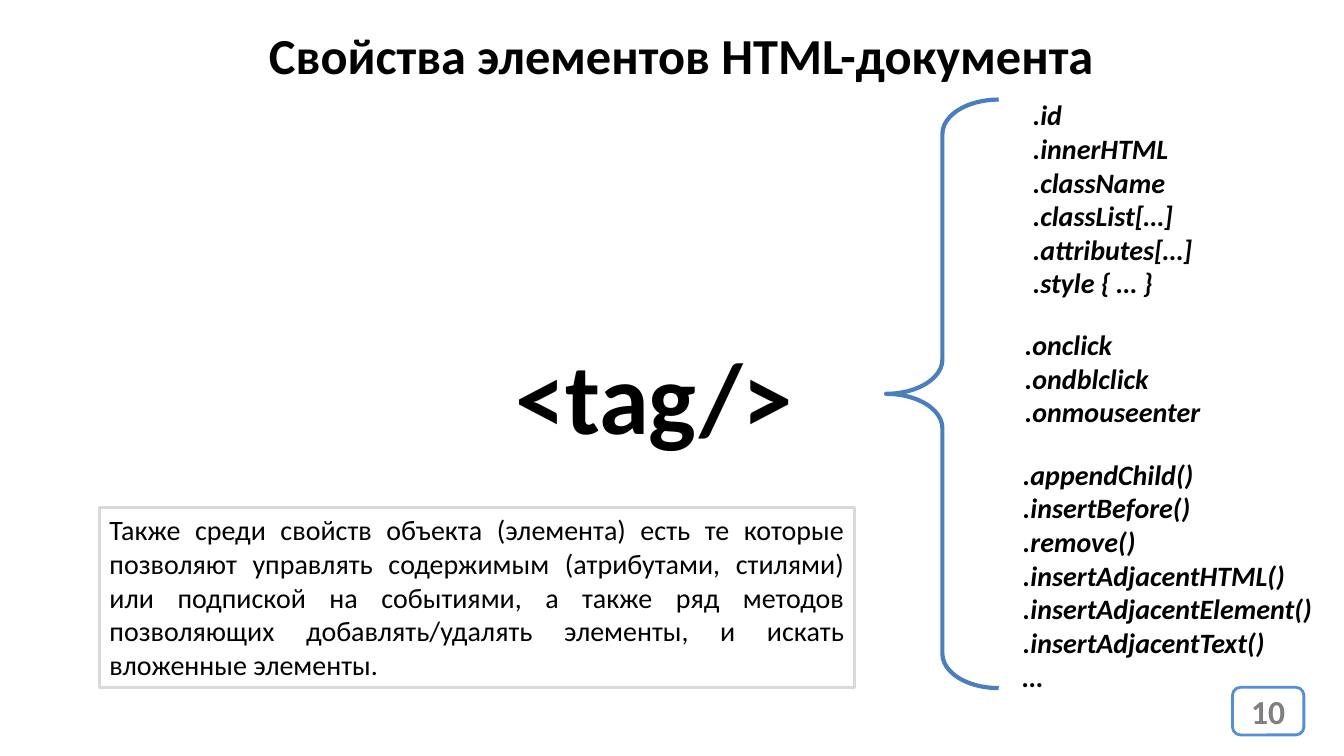
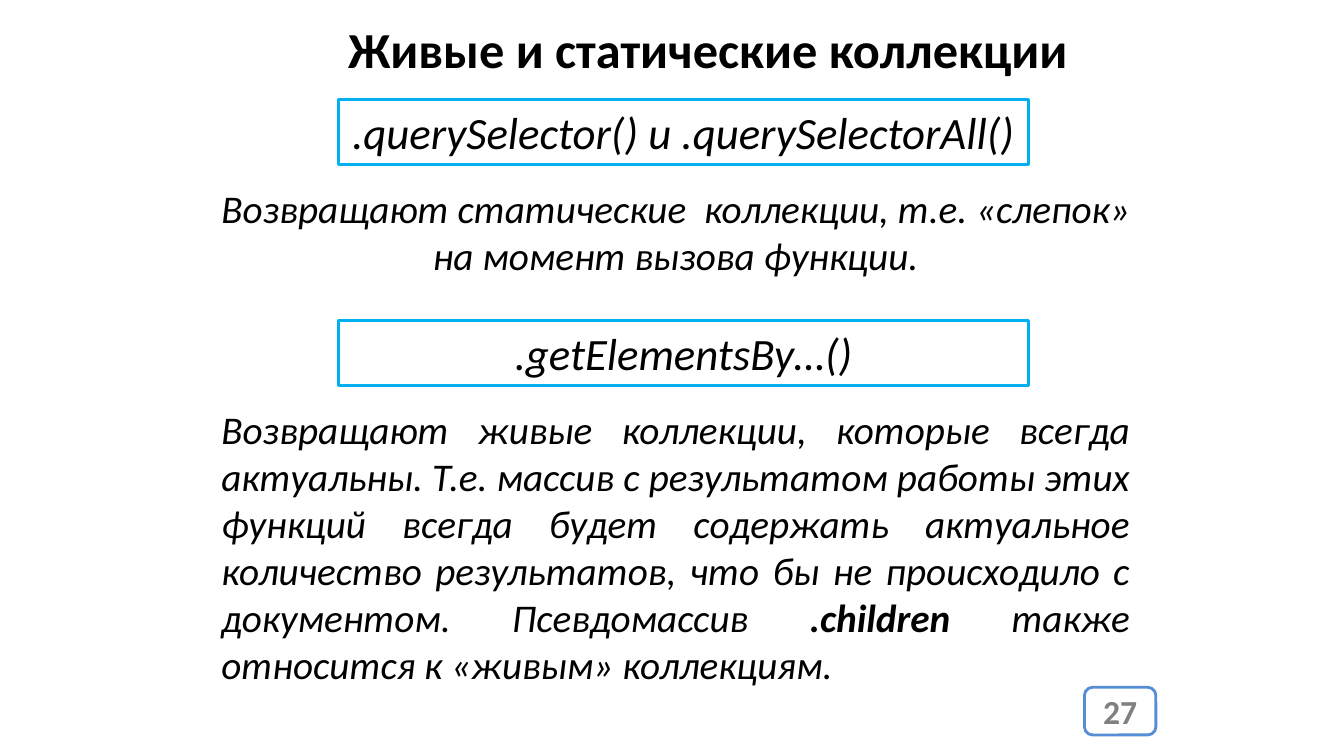
from dataclasses import dataclass
from typing import Any, Optional

from pptx import Presentation
from pptx.dml.color import RGBColor
from pptx.enum import shapes, text
from pptx.util import Cm, Pt

# Shared look
BLACK = RGBColor(0x00, 0x00, 0x00)
WHITE = RGBColor(0xFF, 0xFF, 0xFF)
GRAY = RGBColor(0x80, 0x80, 0x80)
PALE = RGBColor(0xD9, 0xD9, 0xD9)
BLUE = RGBColor(0x55, 0x8E, 0xD5)
STEEL = RGBColor(0x4B, 0x7E, 0xBC)
CYAN = RGBColor(0x00, 0xB0, 0xF0)

FONT = "Calibri"
KIND = shapes.MSO_SHAPE
ALIGN = text.PP_ALIGN
LEFT, MID, JUST = ALIGN.LEFT, ALIGN.CENTER, ALIGN.JUSTIFY

TITLE = {"size": Pt(36), "bold": True}
TAG = {"size": Pt(72), "bold": True}
NOTE = {"size": Pt(20)}
ITEM = {"size": Pt(20), "bold": True, "italic": True}
CALL = {"size": Pt(32), "italic": True}
BODY = {"size": Pt(28), "italic": True}
PAGE = {"size": Pt(24), "bold": True}


@dataclass(frozen=True)
class Box:
    """Place and size in centimetres."""
    x: float
    y: float
    w: float
    h: float

    def cm(self) -> tuple:
        return Cm(self.x), Cm(self.y), Cm(self.w), Cm(self.h)


@dataclass(frozen=True)
class Edge:
    color: RGBColor
    width: float


@dataclass(frozen=True)
class Run:
    text: str
    bold: bool = False


@dataclass(frozen=True)
class Block:
    """Text of one style; each line is a string or a tuple of runs."""
    box: Box
    lines: tuple
    style: dict
    align: Any = LEFT
    wrap: bool = True
    edge: Optional[Edge] = None


# Drawing functions
def put(slide: Any, kind: Any, box: Box, edge: Edge) -> Any:
    shape = slide.shapes.add_shape(kind, *box.cm())
    shape.shadow.inherit = False
    shape.fill.background()
    shape.line.color.rgb = edge.color
    shape.line.width = Pt(edge.width)
    return shape


def write(frame: Any, lines: tuple, style: dict, align: Any,
          color: RGBColor = BLACK) -> None:
    for i, line in enumerate(lines):
        para = frame.paragraphs[0] if i == 0 else frame.add_paragraph()
        para.alignment = align
        for part in (Run(line),) if isinstance(line, str) else line:
            run = para.add_run()
            run.text = part.text
            look = {"name": FONT, **style}
            if part.bold:
                look["bold"] = True
            for key, value in look.items():
                setattr(run.font, key, value)
            run.font.color.rgb = color


def draw(slide: Any, block: Block) -> None:
    if block.edge:
        shape = put(slide, KIND.RECTANGLE, block.box, block.edge)
    else:
        shape = slide.shapes.add_textbox(*block.box.cm())
    frame = shape.text_frame
    setup = {"word_wrap": block.wrap,
             "auto_size": text.MSO_AUTO_SIZE.SHAPE_TO_FIT_TEXT,
             "vertical_anchor": text.MSO_ANCHOR.TOP}
    for key, value in setup.items():
        setattr(frame, key, value)
    write(frame, block.lines, block.style, block.align)


def start(deck: Any, title: str, box: Box, page: int, left: float) -> Any:
    """Add a slide with its page badge and title."""
    slide = deck.slides.add_slide(deck.slide_layouts[6])
    badge = put(slide, KIND.ROUNDED_RECTANGLE,
                Box(left, 17.32, 1.8, 1.2), Edge(BLUE, 2))
    badge.fill.solid()
    badge.fill.fore_color.rgb = WHITE
    frame = badge.text_frame
    frame.margin_left = frame.margin_right = 0
    frame.vertical_anchor = text.MSO_ANCHOR.MIDDLE
    write(frame, (str(page),), PAGE, MID, GRAY)
    draw(slide, Block(box, (title,), TITLE, wrap=False))
    return slide


# Slide: element properties
def props(deck: Any) -> None:
    slide = start(deck, "Свойства элементов HTML-документа",
                  Box(6.53, 0.48, 21.56, 1.8), 10, 31.06)
    draw(slide, Block(Box(12.73, 8.28, 7.59, 3.33), ("<tag/>",), TAG,
                      wrap=False))
    note = ("Также среди свойств объекта (элемента) есть те которые "
            "позволяют управлять содержимым (атрибутами, стилями) или "
            "подпиской на событиями, а также ряд методов позволяющих "
            "добавлять/удалять элементы, и искать вложенные элементы.")
    draw(slide, Block(Box(2.51, 12.8, 19.02, 4.52), (note,), NOTE, JUST,
                      edge=Edge(PALE, 2.25)))

    brace = put(slide, KIND.LEFT_BRACE, Box(22.33, 2.51, 2.84, 14.83),
                Edge(STEEL, 3))
    brace.adjustments[0] = 0.305
    brace.adjustments[1] = 0.5

    # Groups of members: data, events, methods
    groups = (
        (Box(25.78, 2.34, 4.57, 5.38),
         (".id", ".innerHTML", ".className", ".classList[…]",
          ".attributes[…]", ".style { … }")),
        (Box(25.58, 8.13, 4.98, 2.82),
         (".onclick", ".ondblclick", ".onmouseenter")),
        (Box(25.53, 11.4, 7.85, 6.25),
         (".appendChild()", ".insertBefore()", ".remove()",
          ".insertAdjacentHTML()", ".insertAdjacentElement()",
          ".insertAdjacentText()", "…")),
    )
    for box, names in groups:
        draw(slide, Block(box, names, ITEM, wrap=False))


# Slide: live and static collections
def lists(deck: Any) -> None:
    slide = start(deck, "Живые и статические коллекции",
                  Box(8.53, 0.33, 18.8, 1.8), 27, 27.33)
    fixed = (Run("Возвращают статические  коллекции, т.е. «слепок» "
                 "на момент вызова функции."),)
    live = (Run("Возвращают живые коллекции, которые всегда актуальны. "
                "Т.е. массив с результатом работы этих функций всегда "
                "будет содержать актуальное количество результатов, что "
                "бы не происходило с документом. Псевдомассив "),
            Run(".children ", True),
            Run("также относится к «живым» коллекциям."))
    pairs = ((".querySelector() и .querySelectorAll()", fixed, MID, 2.64),
             (".getElementsBy…()", live, JUST, 7.44))
    top, step, gap = 2.51, 5.57, 2.01
    for i, (call, body, align, tall) in enumerate(pairs):
        y = top + i * step
        draw(slide, Block(Box(8.53, y, 17.4, 1.63), (call,), CALL, MID,
                          edge=Edge(CYAN, 2.25)))
        draw(slide, Block(Box(5.33, y + gap, 23.39, tall), (body,), BODY,
                          align))


def main() -> None:
    deck = Presentation()
    deck.slide_width, deck.slide_height = Cm(33.87), Cm(19.05)
    props(deck)
    lists(deck)
    deck.save("out.pptx")


if __name__ == "__main__":
    main()
